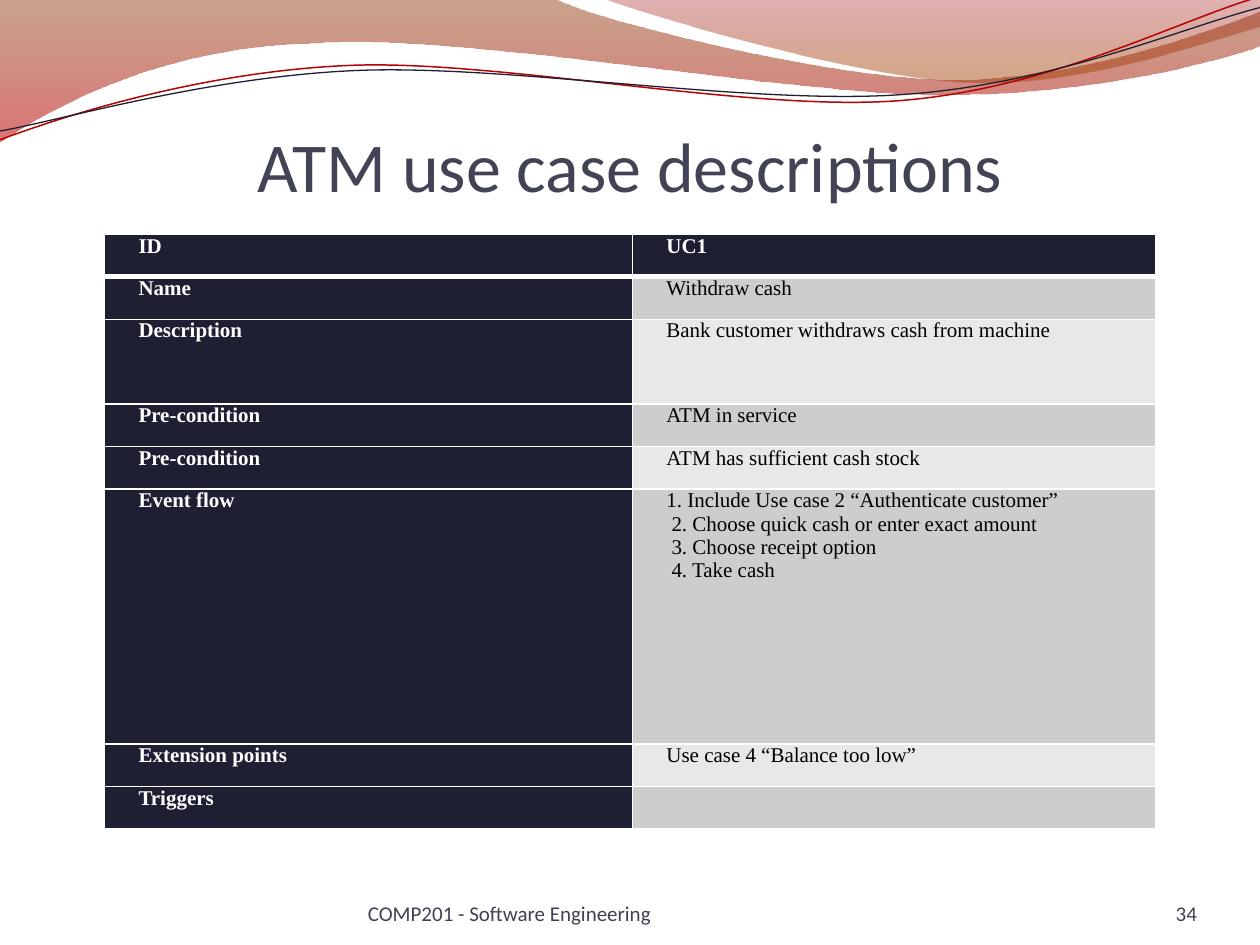
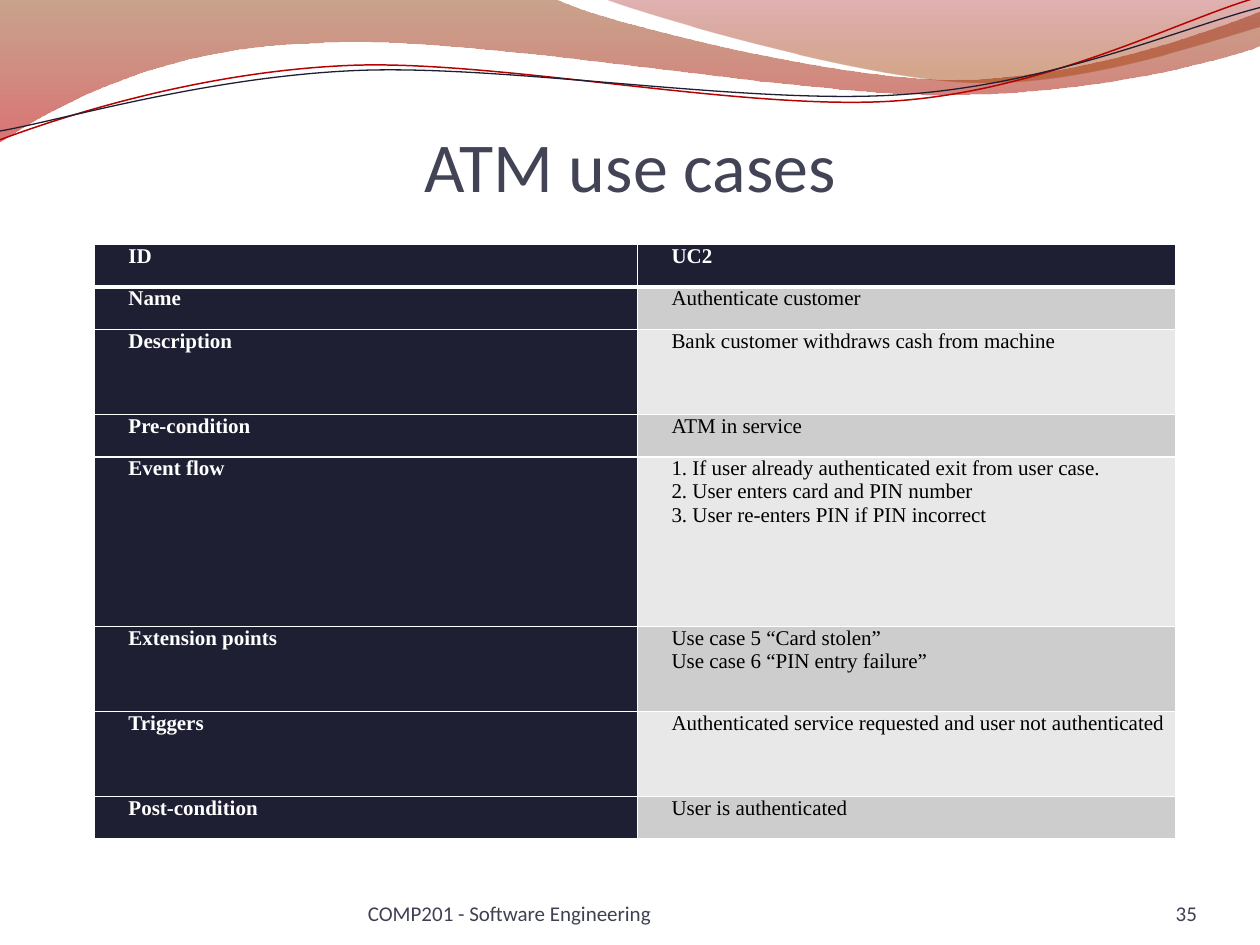
from lxml import etree
from pptx import Presentation
from pptx import util as u
from pptx.dml.color import RGBColor
from pptx.enum import text
from pptx.oxml.ns import qn

COLORS = {
    "white": "FFFFFF", "black": "000000", "navy": "1F1F33", "red": "B60202",
    "title": "424456", "footer": "3F4152", "band_dark": "CDCDCE", "band_light": "E8E8E8",
    "brown": "883400", "crimson": "BD0000", "maroon": "9A0000", "rust": "A23E00",
}
HEAD_FONT, TABLE_FONT = "Calibri", "Times New Roman"

# The slide is a grid of 10 columns by 7.5 rows of square cells
COLS, ROWS = 10, 7.5
CELL = u.Inches(1)

WAVE_BOX = (0, 0, COLS, 1.14)
TITLE_BOX = (0.5, 0.77, 9, 0.87)
FOOTER_BOX = (2.92, 6.95, 6.58, 0.4)
FOOTER_TEXT = "COMP201 - Software Engineering"

# Outlines: a start point, then segments of one point (line) or three (curve)
WAVES = [
    ([(0, 0), [(4.4, -0.01)],
      [(4.76, 0.17), (6.64, 0.63), (7.58, 0.63)],
      [(8.53, 0.63), (9.58, 0.26), (10, 0.09)], [(10.01, 0.36)],
      [(9.83, 0.44), (8.7, 0.76), (7.46, 0.75)],
      [(6.22, 0.75), (3.82, 0.28), (2.57, 0.34)],
      [(1.29, 0.36), (0.46, 0.83), (-0.01, 1.13)]],
     [(0, "brown", 45), (1, "crimson", 55)]),
    ([(4.79, -0.01),
      [(5.09, 0.11), (6.82, 0.62), (7.69, 0.65)],
      [(8.56, 0.69), (9.61, 0.32), (10, 0.21)], [(10, 0)]],
     [(0, "maroon", 30), (0.8, "rust", 45)]),
]
WAVE_LINES = [
    ([(0, 1.11),
      [(0.48, 0.93), (1.58, 0.57), (2.77, 0.52)],
      [(3.95, 0.47), (5.93, 0.89), (7.13, 0.8)],
      [(8.33, 0.71), (9.38, 0.15), (9.98, -0.02)]], "red", 0.85),
    ([(0, 1.04),
      [(0.47, 0.96), (1.64, 0.61), (2.83, 0.56)],
      [(4.03, 0.51), (5.97, 0.84), (7.17, 0.75)],
      [(8.36, 0.67), (9.41, 0.21), (10, 0.06)]], "navy", 0.75),
]

# Each row: label, height in table lines, text lines, extra indent of later lines
USE_CASES = [
    {"title": "ATM use case descriptions", "number": 34,
     "box": (0.83, 1.86, 8.34, 4.72), "label_width": 4.19,
     "rows": [
         ("ID", 1, ["UC1"], 0),
         ("Name", 1, ["Withdraw cash"], 0),
         ("Description", 2, ["Bank customer withdraws cash from machine"], 0),
         ("Pre-condition", 1, ["ATM in service"], 0),
         ("Pre-condition", 1, ["ATM has sufficient cash stock"], 0),
         ("Event flow", 6, ["1. Include Use case 2 “Authenticate customer”",
                            "2. Choose quick cash or enter exact amount",
                            "3. Choose receipt option",
                            "4. Take cash"], 0.04),
         ("Extension points", 1, ["Use case 4 “Balance too low”"], 0),
         ("Triggers", 1, [], 0),
     ]},
    {"title": "ATM use cases", "number": 35,
     "box": (0.75, 1.94, 8.58, 4.72), "label_width": 4.31,
     "rows": [
         ("ID", 1, ["UC2"], 0),
         ("Name", 1, ["Authenticate customer"], 0),
         ("Description", 2, ["Bank customer withdraws cash from machine"], 0),
         ("Pre-condition", 1, ["ATM in service"], 0),
         ("Event flow", 4, ["1. If user already authenticated exit from user case.",
                            "2. User enters card and PIN number",
                            "3. User re-enters PIN if PIN incorrect"], 0),
         ("Extension points", 2, ["Use case 5 “Card stolen”",
                                  "Use case 6 “PIN entry failure”"], 0),
         ("Triggers", 2, ["Authenticated service requested and user not authenticated"], 0),
         ("Post-condition", 1, ["User is authenticated"], 0),
     ]},
]


def rgb(name):
    return RGBColor.from_string(COLORS[name])


def grid(*cells):
    return [u.Emu(round(c * CELL)) for c in cells]


def add_run(p, words, font, size, color, bold=False):
    r = p.add_run()
    r.text = words
    r.font.name, r.font.size, r.font.bold = font, u.Pt(size), bold
    r.font.color.rgb = rgb(color)


def add_text(s, box, words, size, color, align, top_inset=0):
    tf = s.shapes.add_textbox(*grid(*box)).text_frame
    tf.word_wrap = True
    tf.vertical_anchor = text.MSO_ANCHOR.BOTTOM
    tf.margin_left = tf.margin_right = tf.margin_bottom = 0
    tf.margin_top = u.Inches(top_inset)
    p = tf.paragraphs[0]
    p.alignment = align
    add_run(p, words, HEAD_FONT, size, color)


def add_outline(s, box, outline, close):
    left, top = box[:2]
    start, *segments = outline
    points = [grid(left + x, top + y) for x, y in [start, *sum(segments, [])]]
    builder = s.shapes.build_freeform(*points[0])
    builder.add_line_segments(points[1:], close=close)
    sp = builder.convert_to_shape()
    sp.shadow.inherit = False
    # Join the three points of each curve segment into one cubic curve
    steps = iter(list(sp._element.iter(qn("a:lnTo"))))
    for segment in segments:
        first, *others = [next(steps) for _ in segment]
        if others:
            first.tag = qn("a:cubicBezTo")
        for other in others:
            first.append(other[0])
            other.getparent().remove(other)
    return sp


def add_wave_band(s, box):
    # Translucent waves
    for outline, stops in WAVES:
        sp = add_outline(s, box, outline, close=True)
        sp.fill.gradient()
        sp.fill.gradient_angle = 270
        for stop, (position, color, _) in zip(sp.fill.gradient_stops, stops):
            stop.position = position
            stop.color.rgb = rgb(color)
        clrs = list(sp._element.spPr.iter(qn("a:srgbClr")))
        for clr, (_, _, opacity) in zip(clrs, stops):
            etree.SubElement(clr, qn("a:alpha"), val=str(opacity * 1000))
        sp.line.fill.background()
    # Thin lines
    for outline, color, width in WAVE_LINES:
        sp = add_outline(s, box, outline, close=False)
        sp.fill.background()
        sp.line.color.rgb = rgb(color)
        sp.line.width = u.Pt(width)


def add_footer(s, box, number):
    left, top, width, height = box
    number_width = 0.83
    add_text(s, (left, top, 3.67, height), FOOTER_TEXT, 12, "footer", text.PP_ALIGN.LEFT)
    add_text(s, (left + width - number_width, top, number_width, height), str(number),
             12, "footer", text.PP_ALIGN.RIGHT)


def set_borders(cell, row):
    tcPr = cell._tc.get_or_add_tcPr()
    widths = {"L": 1, "R": 1, "T": 3 if row == 1 else 1, "B": 3 if row == 0 else 1}
    for side, width in widths.items():
        ln = etree.SubElement(tcPr, qn("a:ln" + side), w=str(u.Pt(width)))
        fill = etree.SubElement(ln, qn("a:solidFill"))
        etree.SubElement(fill, qn("a:srgbClr"), val=COLORS["white"])


def fill_cell(cell, row, lines, fill, color, bold, later_indent=0):
    set_borders(cell, row)
    cell.fill.solid()
    cell.fill.fore_color.rgb = rgb(fill)
    cell.margin_left = cell.margin_right = u.Inches(0.07)
    cell.margin_top = cell.margin_bottom = 0
    tf = cell.text_frame
    tf.paragraphs[0].font.size = u.Pt(12)
    for i, line in enumerate(lines):
        p = tf.add_paragraph() if i else tf.paragraphs[0]
        indent = 0.2 + (later_indent if i else 0)
        p._p.get_or_add_pPr().set("marL", str(u.Inches(indent)))
        add_run(p, line, TABLE_FONT, 12, color, bold)


def add_use_case_table(s, box, label_width, rows):
    table = s.shapes.add_table(len(rows), 2, *grid(*box)).table
    table.horz_banding = False
    table.columns[0].width, table.columns[1].width = grid(label_width, box[2] - label_width)
    line_height = box[3] / sum(height for _, height, _, _ in rows)
    for i, (label, height, lines, later_indent) in enumerate(rows):
        table.rows[i].height = grid(height * line_height)[0]
        fill_cell(table.cell(i, 0), i, [label], "navy", "white", True)
        if i == 0:
            look = ("navy", "white", True)
        else:
            look = ("band_dark" if i % 2 else "band_light", "black", False)
        fill_cell(table.cell(i, 1), i, lines, *look, later_indent)


def add_use_case_slide(prs, use_case):
    s = prs.slides.add_slide(prs.slide_layouts[6])
    add_wave_band(s, WAVE_BOX)
    add_text(s, TITLE_BOX, use_case["title"], 40, "title", text.PP_ALIGN.CENTER, 0.05)
    add_use_case_table(s, use_case["box"], use_case["label_width"], use_case["rows"])
    add_footer(s, FOOTER_BOX, use_case["number"])


def main():
    prs = Presentation()
    prs.slide_width, prs.slide_height = grid(COLS, ROWS)
    for use_case in USE_CASES:
        add_use_case_slide(prs, use_case)
    prs.save("out.pptx")


if __name__ == "__main__":
    main()
